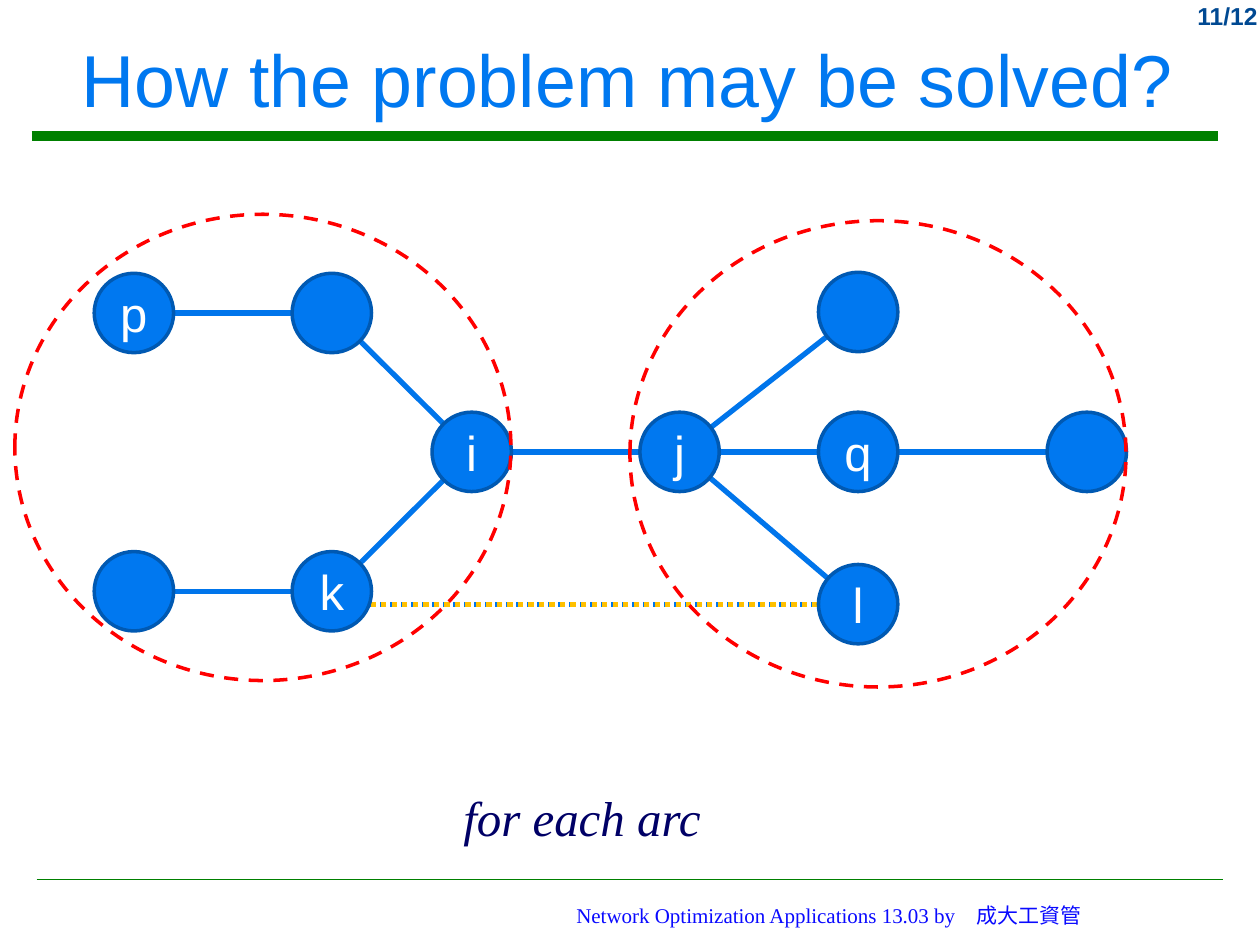
import pptx
import pptx.dml.color
import pptx.enum.dml
import pptx.enum.shapes
import pptx.enum.text
import pptx.oxml.ns
import pptx.util
from lxml import etree
from pptx.util import Cm

COLORS = {
    "node": "0078F0", "node_border": "0059B2", "edge": "0075EB",
    "new_arc": "FFC000", "subtree": "FF0000", "rule": "008000",
    "label": "FFFFFF", "caption": "000066", "footer": "0A0AFF",
    "page": "004992",
}
CENTER = pptx.enum.text.PP_ALIGN.CENTER
DASH = pptx.enum.dml.MSO_LINE
NODE_SIZE = 1.6


def write(shape, text, size, font, color, align, bold=False, italic=False):
    """Put one formatted run in the shape, centred vertically."""
    frame = shape.text_frame
    frame.word_wrap = True
    frame.vertical_anchor = pptx.enum.text.MSO_ANCHOR.MIDDLE
    paragraph = frame.paragraphs[0]
    paragraph.alignment = align
    run = paragraph.add_run()
    run.text = text
    run.font.size = pptx.util.Pt(size)
    run.font.name = font
    run.font.bold = bold
    run.font.italic = italic
    run.font.color.rgb = pptx.dml.color.RGBColor.from_string(COLORS[color])


def draw_line(start, end, color, width, dash=None):
    line = slide.shapes.add_connector(
        pptx.enum.shapes.MSO_CONNECTOR.STRAIGHT,
        Cm(start[0]), Cm(start[1]), Cm(end[0]), Cm(end[1]))
    line.line.color.rgb = pptx.dml.color.RGBColor.from_string(COLORS[color])
    line.line.width = pptx.util.Pt(width)
    if dash:
        line.line.dash_style = dash
    etree.SubElement(line._element.spPr, pptx.oxml.ns.qn("a:effectLst"))


presentation = pptx.Presentation()
presentation.slide_width = Cm(25.4)
presentation.slide_height = Cm(19.05)
slide = presentation.slides.add_slide(presentation.slide_layouts[5])

# Title and page furniture
draw_line((0.64, 2.74), (24.56, 2.74), "rule", 5.25)
draw_line((0.74, 17.73), (24.66, 17.73), "rule", 1)
title = slide.shapes.title
title.left, title.top, title.width, title.height = Cm(0.2), Cm(0.23), Cm(24.89), Cm(2.69)
write(title, "How the problem may be solved?", 42, "Arial", "node", CENTER)

page_number = slide.shapes.add_textbox(Cm(23.29), Cm(-0.1), Cm(2.31), Cm(0.84))
write(page_number, "11/12", 14, "Arial", "page", pptx.enum.text.PP_ALIGN.RIGHT, bold=True)
footer = slide.shapes.add_textbox(Cm(8.6), Cm(17.93), Cm(16.23), Cm(1.02))
write(footer, "Network Optimization Applications 13.03 by　成大工資管", 12,
      "Times New Roman", "footer", CENTER)
caption = slide.shapes.add_textbox(Cm(9.09), Cm(15.75), Cm(6.2), Cm(1.45))
write(caption, "for each arc", 28, "Times New Roman", "caption",
      pptx.enum.text.PP_ALIGN.LEFT, italic=True)

# Node centres in cm, with the label shown
nodes = {
    "p": (2.7, 6.31, "p"),
    "upper left": (6.69, 6.31, ""),
    "lower left": (2.7, 11.92, ""),
    "k": (6.69, 11.92, "k"),
    "i": (9.51, 9.11, "i"),
    "j": (13.7, 9.11, "j"),
    "upper right": (17.3, 6.29, ""),
    "q": (17.3, 9.11, "q"),
    "far right": (21.91, 9.11, ""),
    "l": (17.3, 12.18, "l"),
}
edges = [
    ("p", "upper left"), ("upper left", "i"), ("lower left", "k"), ("k", "i"),
    ("i", "j"), ("j", "upper right"), ("j", "q"), ("j", "l"), ("q", "far right"),
]
for first, second in edges:
    draw_line(nodes[first][:2], nodes[second][:2], "edge", 3)

# Candidate arc between k and l
for color, shift in (("edge", 0), ("new_arc", 0.03)):
    draw_line((17.3 + shift, 12.18), (7.06 + shift, 12.18), color, 3, DASH.ROUND_DOT)

for x, y, label in nodes.values():
    node = slide.shapes.add_shape(
        pptx.enum.shapes.MSO_SHAPE.OVAL, Cm(x - NODE_SIZE / 2),
        Cm(y - NODE_SIZE / 2), Cm(NODE_SIZE), Cm(NODE_SIZE))
    node.shadow.inherit = False
    node.fill.solid()
    node.fill.fore_color.rgb = pptx.dml.color.RGBColor.from_string(COLORS["node"])
    node.line.color.rgb = pptx.dml.color.RGBColor.from_string(COLORS["node_border"])
    node.line.width = pptx.util.Pt(2)
    if label:
        write(node, label, 28, "Arial", "label", CENTER)

# Subtrees on either side of arc (i, j)
for left, top in ((0.3, 4.32), (12.7, 4.45)):
    subtree = slide.shapes.add_shape(
        pptx.enum.shapes.MSO_SHAPE.OVAL, Cm(left), Cm(top), Cm(10), Cm(9.4))
    subtree.shadow.inherit = False
    subtree.fill.background()
    subtree.line.color.rgb = pptx.dml.color.RGBColor.from_string(COLORS["subtree"])
    subtree.line.width = pptx.util.Pt(2)
    subtree.line.dash_style = DASH.DASH

presentation.save("out.pptx")
